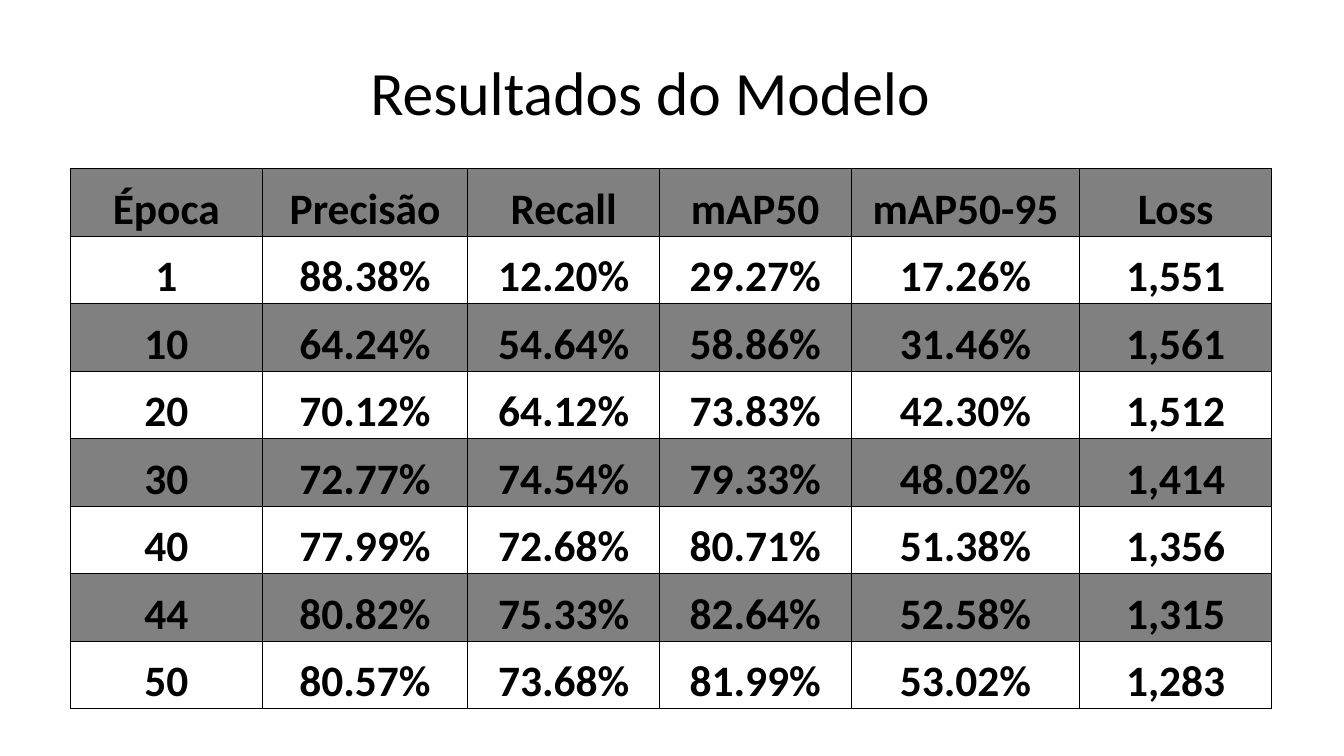
from lxml.etree import SubElement
from pptx import Presentation
from pptx.dml.color import RGBColor
from pptx.enum.text import MSO_ANCHOR as Anchor, PP_ALIGN as Align
from pptx.oxml.ns import qn
from pptx.util import Inches, Pt

BLACK = RGBColor(0x00, 0x00, 0x00)
GRAY = RGBColor(0x80, 0x80, 0x80)
WHITE = RGBColor(0xFF, 0xFF, 0xFF)

LEFT, TABLE_TOP = 0.7, 1.67
ROW_HEIGHT = 0.67
COLUMN_WIDTHS = [1.9, 2.04, 1.9, 1.9, 2.27, 1.9]
RESULTS = [
    ["Época", "Precisão", "Recall", "mAP50", "mAP50-95", "Loss"],
    ["1", "88.38%", "12.20%", "29.27%", "17.26%", "1,551"],
    ["10", "64.24%", "54.64%", "58.86%", "31.46%", "1,561"],
    ["20", "70.12%", "64.12%", "73.83%", "42.30%", "1,512"],
    ["30", "72.77%", "74.54%", "79.33%", "48.02%", "1,414"],
    ["40", "77.99%", "72.68%", "80.71%", "51.38%", "1,356"],
    ["44", "80.82%", "75.33%", "82.64%", "52.58%", "1,315"],
    ["50", "80.57%", "73.68%", "81.99%", "53.02%", "1,283"],
]


def format_paragraph(para, size, bold):
    para.alignment = Align.CENTER
    para.font.name = "Calibri"
    para.font.size = Pt(size)
    para.font.bold = bold
    para.font.color.rgb = BLACK


def add_borders(cell):
    properties = cell._tc.get_or_add_tcPr()
    for side in ("a:lnL", "a:lnR", "a:lnT", "a:lnB"):
        line = SubElement(properties, qn(side), w=str(Pt(0.5)))
        fill = SubElement(line, qn("a:solidFill"))
        SubElement(fill, qn("a:srgbClr"), val=str(BLACK))


deck = Presentation()
deck.slide_width, deck.slide_height = Inches(13.33), Inches(7.5)
page = deck.slides.add_slide(deck.slide_layouts[5])
page.background.fill.solid()
page.background.fill.fore_color.rgb = WHITE

# Title
title = page.shapes.title
title.left, title.top = Inches(LEFT), Inches(0.22)
title.width, title.height = Inches(11.5), Inches(1.45)
title.text_frame.text = "Resultados do Modelo"
title.text_frame.vertical_anchor = Anchor.MIDDLE
heading = title.text_frame.paragraphs[0]
heading.line_spacing = 0.9
format_paragraph(heading, 44, False)

# Results table
table = page.shapes.add_table(
    len(RESULTS), len(COLUMN_WIDTHS), Inches(LEFT), Inches(TABLE_TOP),
    Inches(sum(COLUMN_WIDTHS)), Inches(ROW_HEIGHT * len(RESULTS))).table
for column, width in zip(table.columns, COLUMN_WIDTHS):
    column.width = Inches(width)

# Cells, with every other row shaded
for row_index, values in enumerate(RESULTS):
    table.rows[row_index].height = Inches(ROW_HEIGHT)
    for column_index, value in enumerate(values):
        cell = table.cell(row_index, column_index)
        cell.text = value
        cell.vertical_anchor = Anchor.BOTTOM
        cell.margin_left = cell.margin_right = cell.margin_top = Inches(0.03)
        cell.margin_bottom = 0
        format_paragraph(cell.text_frame.paragraphs[0], 31, True)
        add_borders(cell)
        if row_index % 2 == 0:
            cell.fill.solid()
            cell.fill.fore_color.rgb = GRAY
        else:
            cell.fill.background()

deck.save("out.pptx")
